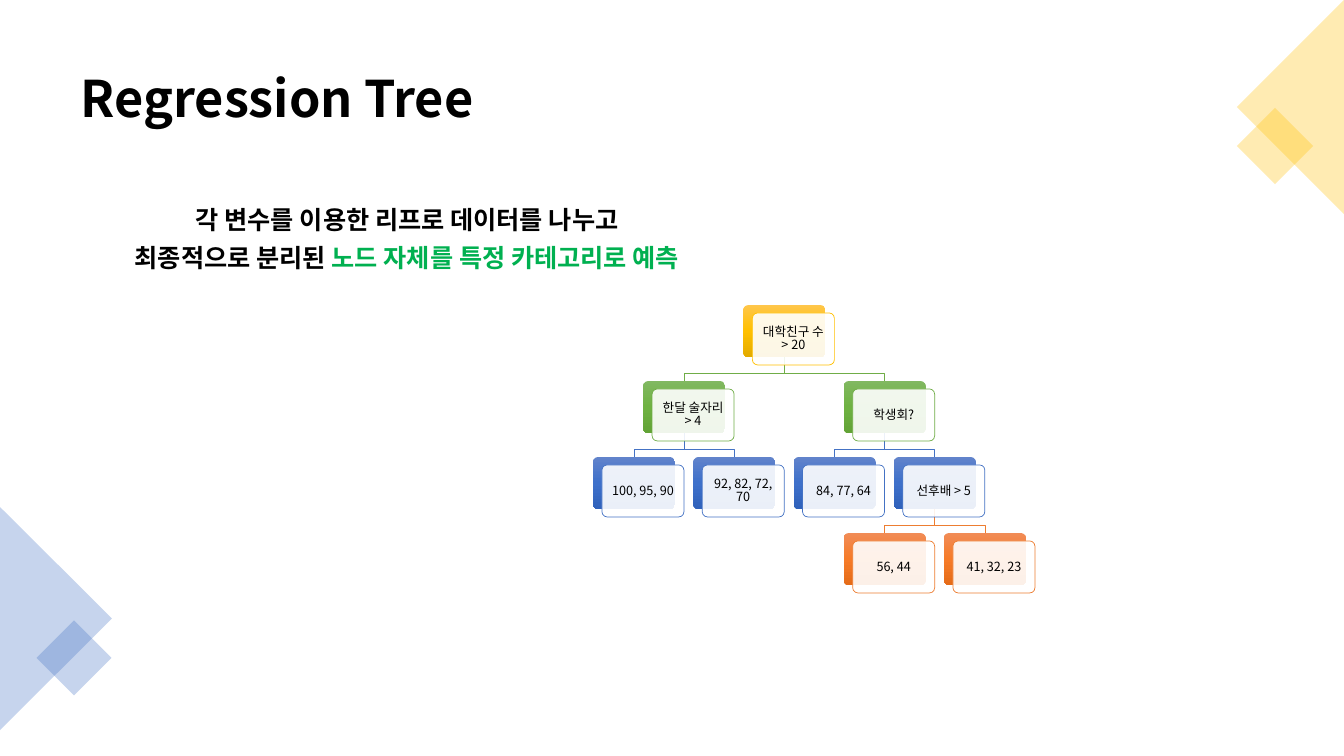
from dataclasses import dataclass

from lxml import etree
from pptx import Presentation
from pptx.dml.color import RGBColor
from pptx.enum.shapes import MSO_SHAPE
from pptx.enum.text import MSO_ANCHOR, PP_ALIGN
from pptx.oxml.ns import qn
from pptx.util import Pt

PX = 914400 / 100.8
TRIANGLE = MSO_SHAPE.ISOSCELES_TRIANGLE
RECT = MSO_SHAPE.RECTANGLE
ROUND = MSO_SHAPE.ROUNDED_RECTANGLE
MIDDLE = MSO_ANCHOR.MIDDLE
TOP = MSO_ANCHOR.TOP
CENTER = PP_ALIGN.CENTER
LEFT = PP_ALIGN.LEFT


@dataclass(frozen=True)
class Theme:
    """Colours, font and type sizes."""
    font: str = "Noto Sans CJK KR"
    title: int = 36
    body: int = 18
    node: int = 9
    line: float = 0.5
    text: str = "000000"
    accent: str = "00B050"
    card: str = "FFFFFF"
    blue: str = "4472C4"
    gold: str = "FFC000"
    levels: tuple = (
        ("FFC000", ("FFC64B", "FFC000", "E3AB00")),
        ("70AD47", ("81B861", "6FB242", "62A336")),
        ("4472C4", ("6183CB", "3E70CA", "3062BB")),
        ("ED7D31", ("F18C57", "F67B28", "E56C19")),
    )


THEME = Theme()
NODES = {
    "root": (0, 3, "대학친구 수 > 20", None),
    "drinks": (1, 1, "한달 술자리 > 4", "root"),
    "council": (1, 5, "학생회?", "root"),
    "drinks_yes": (2, 0, "100, 95, 90", "drinks"),
    "drinks_no": (2, 2, "92, 82, 72, 70", "drinks"),
    "council_yes": (2, 4, "84, 77, 64", "council"),
    "seniors": (2, 6, "선후배 > 5", "council"),
    "seniors_yes": (3, 5, "56, 44", "seniors"),
    "seniors_no": (3, 7, "41, 32, 23", "seniors"),
}


def emu(*values):
    """Turn pixels into EMU."""
    return [round(v * PX) for v in values]


def rgb(color):
    """Turn a hex string into a colour."""
    return RGBColor.from_string(color)


def fill_solid(sp, color, alpha):
    """Fill a shape with a colour at a given opacity in percent."""
    sp.fill.solid()
    sp.fill.fore_color.rgb = rgb(color)
    clr = sp.fill._xPr.find(qn("a:solidFill"))[0]
    etree.SubElement(clr, qn("a:alpha"), val=str(alpha * 1000))


def fill_gradient(sp, colors):
    """Fill a shape with evenly spaced stops from top to bottom."""
    sp.fill.gradient()
    sp.fill.gradient_angle = 270
    stops = sp.fill._xPr.find(qn("a:gradFill")).find(qn("a:gsLst"))
    for stop in list(stops):
        stops.remove(stop)
    for i, color in enumerate(colors):
        pos = 100000 * i // (len(colors) - 1)
        stop = etree.SubElement(stops, qn("a:gs"), pos=str(pos))
        etree.SubElement(stop, qn("a:srgbClr"), val=color)


def add_shape(slide, kind, box):
    """Add a preset shape without shadow or outline."""
    sp = slide.shapes.add_shape(kind, *emu(*box))
    sp.shadow.inherit = False
    sp.line.fill.background()
    return sp


def style_run(r, size, color, bold=False):
    """Set the font of a run."""
    r.font.name = THEME.font
    r.font.size = Pt(size)
    r.font.bold = bold
    r.font.color.rgb = rgb(color)
    ea = etree.SubElement(r.font._element, qn("a:ea"))
    ea.set("typeface", THEME.font)


def add_text(slide, box, lines, size, align, anchor):
    """Add a bold text box whose lines are lists of text and colour."""
    tf = slide.shapes.add_textbox(*emu(*box)).text_frame
    tf.word_wrap = True
    tf.vertical_anchor = anchor
    for i, line in enumerate(lines):
        p = tf.add_paragraph() if i else tf.paragraphs[0]
        p.alignment = align
        p.space_after = Pt(6)
        for text, color in line:
            r = p.add_run()
            r.text = text
            style_run(r, size, color, True)


def add_corner(slide, box, rotation, color, center, side):
    """Add an edge triangle filling the box and a diamond centred within it."""
    x, y, w, h = box
    triangle_box = (x + (w - h) / 2, y + (h - w) / 2, h, w)
    diamond_box = (x + center[0] - side / 2, y + center[1] - side / 2, side, side)
    for kind, part, angle in ((TRIANGLE, triangle_box, rotation),
                              (RECT, diamond_box, 45)):
        sp = add_shape(slide, kind, part)
        sp.rotation = angle
        fill_solid(sp, color, 30)


def add_link(slide, parent, child, color, node_w, node_h):
    """Add an elbow line from the bottom of a parent to the top of a child."""
    x1, y1 = parent[0] + node_w / 2, parent[1] + node_h
    x2, y2 = child[0] + node_w / 2, child[1]
    bend = y2 - 8
    points = [emu(*pt) for pt in ((x1, y1), (x1, bend), (x2, bend), (x2, y2))]
    builder = slide.shapes.build_freeform(*points[0], scale=1.0)
    builder.add_line_segments(points[1:], close=False)
    sp = builder.convert_to_shape()
    sp.shadow.inherit = False
    sp.fill.background()
    sp.line.color.rgb = rgb(color)
    sp.line.width = Pt(THEME.line)


def add_node(slide, box, text, level, dx, dy):
    """Add a gradient back plate and an offset card with its text."""
    x, y, w, h = box
    color, gradient = THEME.levels[level]
    back = add_shape(slide, ROUND, box)
    fill_gradient(back, gradient)
    card = add_shape(slide, ROUND, (x + dx, y + dy, w, h))
    fill_solid(card, THEME.card, 90)
    card.line.color.rgb = rgb(color)
    card.line.width = Pt(THEME.line)
    for sp in (back, card):
        sp.adjustments[0] = 0.1
    tf = card.text_frame
    tf.word_wrap = True
    tf.vertical_anchor = MIDDLE
    inset, = emu(5)
    tf.margin_left = tf.margin_right = tf.margin_top = tf.margin_bottom = inset
    tf.text = text
    p = tf.paragraphs[0]
    p.alignment = CENTER
    p.line_spacing = 0.9
    style_run(p.runs[0], THEME.node, THEME.text)


def add_tree(slide, box):
    """Add the regression tree on a grid of eight half columns and four rows."""
    x, y, w, h = box
    node_w, node_h, dx, dy = 82, 52, 9, 8
    col_step = (w - node_w - dx) / 7
    row_step = (h - node_h - dy) / 3
    places = {name: (x + col * col_step, y + row * row_step)
              for name, (row, col, _, _) in NODES.items()}
    for name, (row, _, _, parent) in NODES.items():
        if parent:
            add_link(slide, places[parent], places[name],
                     THEME.levels[row][0], node_w, node_h)
    for name, (row, _, text, _) in NODES.items():
        add_node(slide, (*places[name], node_w, node_h), text, row, dx, dy)


def main():
    """Build and save the slide."""
    prs = Presentation()
    prs.slide_width, prs.slide_height = emu(1344, 756)
    slide = prs.slides.add_slide(prs.slide_layouts[6])
    add_text(slide, (71, 35, 1203, 125), [[("Regression Tree", THEME.text)]],
             THEME.title, LEFT, MIDDLE)
    add_text(slide, (71, 199, 672, 80),
             [[("각 변수를 이용한 리프로 데이터를 나누고", THEME.text)],
              [("최종적으로 분리된 ", THEME.text),
               ("노드 자체를 특정 카테고리로 예측", THEME.accent)]],
             THEME.body, CENTER, TOP)
    add_corner(slide, (0, 507, 112, 223), 90, THEME.blue, (74, 151), 53)
    add_corner(slide, (1237, 0, 107, 214), 270, THEME.gold, (38, 146), 54)
    add_tree(slide, (593, 305, 442, 288))
    prs.save("out.pptx")


main()
